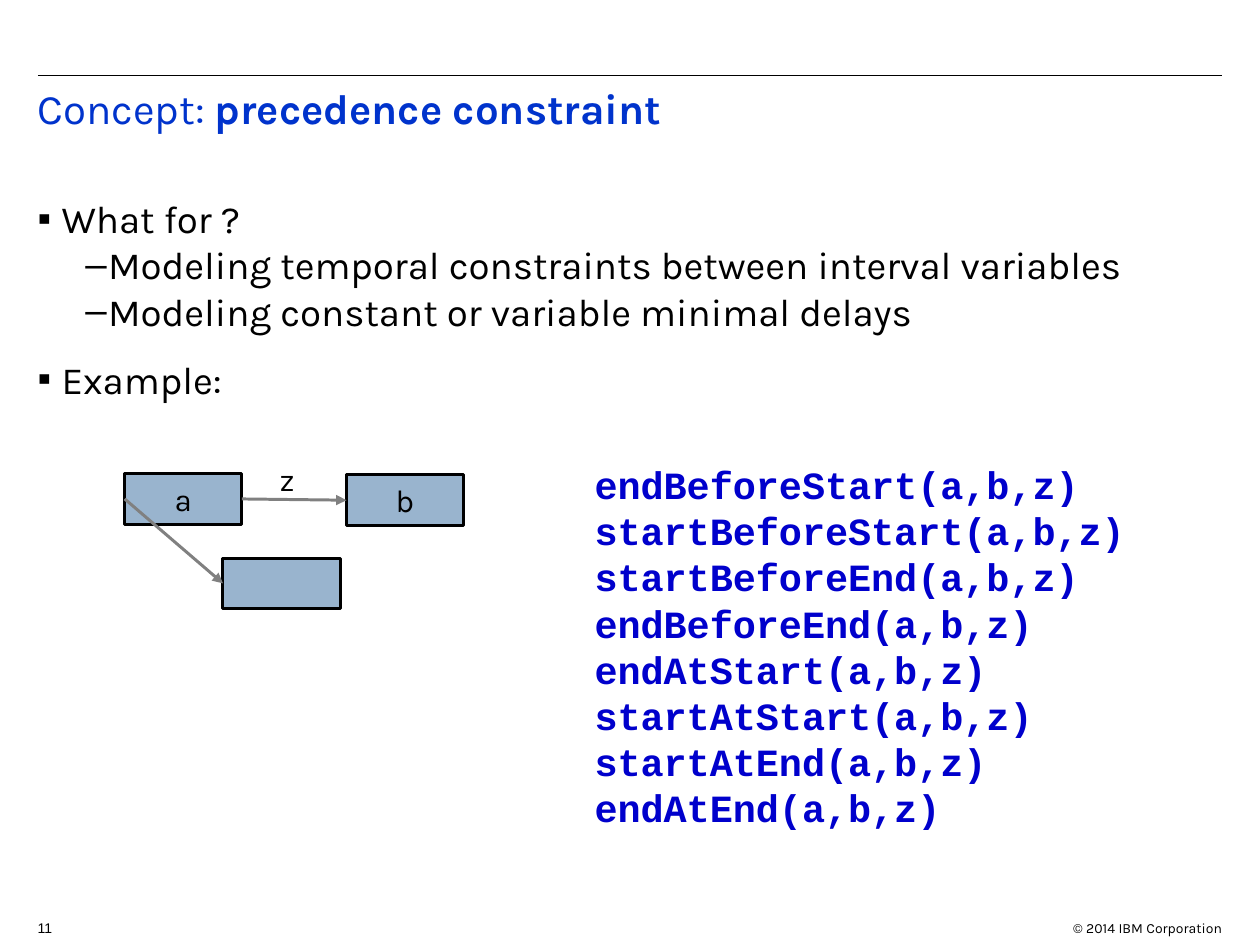
from lxml import etree
from pptx import Presentation
from pptx.dml.color import RGBColor
from pptx.enum.shapes import MSO_CONNECTOR, MSO_SHAPE
from pptx.enum.text import MSO_ANCHOR, PP_ALIGN
from pptx.oxml.ns import qn
from pptx.util import Inches, Pt

RECT, LINE = MSO_SHAPE.RECTANGLE, MSO_CONNECTOR.STRAIGHT
MIDDLE, TOP = MSO_ANCHOR.MIDDLE, MSO_ANCHOR.TOP
LEFT, CENTER, RIGHT = PP_ALIGN.LEFT, PP_ALIGN.CENTER, PP_ALIGN.RIGHT

BLACK = RGBColor(0x00, 0x00, 0x00)
GREY = RGBColor(0x80, 0x80, 0x80)
BLUE = RGBColor(0x00, 0x33, 0xCC)
NAVY = RGBColor(0x00, 0x00, 0xCC)
STEEL = RGBColor(0x00, 0x45, 0x86)
SANS, MONO = "Karla", "Courier New"

# Content
TITLE = [("Concept: ", False), ("precedence constraint", True)]
POINTS = [
    (0, "What for ?"),
    (1, "Modeling temporal constraints between interval variables"),
    (1, "Modeling constant or variable minimal delays"),
    (0, "Example:"),
]
# level: bullet, left margin, hanging indent, space before
LEVELS = [("▪", 0.19, 0.19, 12.5), ("–", 0.56, 0.18, 0)]
CALLS = ["endBeforeStart", "startBeforeStart", "startBeforeEnd", "endBeforeEnd",
         "endAtStart", "startAtStart", "startAtEnd", "endAtEnd"]
TASKS = [("a", 0.99, 3.76), ("b", 2.75, 3.77), ("", 1.77, 4.43)]
TASK_W, TASK_H = 0.93, 0.4
LINKS = [(0, 3, 1, 1), (0, 1, 2, 1)]  # from task, side, to task, side

W, H = 10, 7.5
EDGE = 0.03 * W
PAD = 0.1  # side inset of a text box
FOOT = 7.25

prs = Presentation()
prs.slide_width, prs.slide_height = Inches(W), Inches(H)
slide = prs.slides.add_slide(prs.slide_layouts[6])
shapes = slide.shapes


def add_run(para, text, size, color=BLACK, font=SANS, bold=False):
    run = para.add_run()
    run.text = text
    run.font.size, run.font.name, run.font.bold = Pt(size), font, bold
    run.font.color.rgb = color


def add_box(x, y, w, h, wrap=True):
    box = shapes.add_textbox(*map(Inches, (x, y, w, h)))
    frame = box.text_frame
    frame.word_wrap, frame.vertical_anchor = wrap, TOP
    return frame


def next_para(frame, index):
    return frame.add_paragraph() if index else frame.paragraphs[0]


def set_bullet(para, mark, left, hang):
    props = para._p.get_or_add_pPr()
    props.set("marL", str(Inches(left)))
    props.set("indent", str(-Inches(hang)))
    color = etree.SubElement(props, qn("a:buClr"))
    etree.SubElement(color, qn("a:srgbClr"), val=str(BLACK))
    etree.SubElement(props, qn("a:buFont"), typeface="Arial")
    etree.SubElement(props, qn("a:buChar"), char=mark)


def add_line(start, end, color, width):
    line = shapes.add_connector(LINE, *map(Inches, start + end))
    line.line.color.rgb, line.line.width = color, Pt(width)
    etree.SubElement(line._element.spPr, qn("a:effectLst"))
    return line


# Top rule, footer and title
add_line((EDGE, 0.08 * H), (W - EDGE, 0.08 * H), BLACK, 0.75)
para = add_box(8.3, FOOT, 1.5, 0.2).paragraphs[0]
para.alignment = RIGHT
add_run(para, "© 2014 IBM Corporation", 8)
add_run(add_box(EDGE - PAD, FOOT, 0.4, 0.23).paragraphs[0], "11", 8, font="Arial")

para = add_box(EDGE - PAD, 0.65, 9.8, 0.7).paragraphs[0]
para.line_spacing = 0.9
for text, bold in TITLE:
    add_run(para, text, 24, BLUE, bold=bold)

# Bullet points
frame = add_box(EDGE - PAD, 0.2 * H, 9.3, 5.6)
for i, (level, text) in enumerate(POINTS):
    para = next_para(frame, i)
    mark, left, hang, gap = LEVELS[level]
    para.level = level
    set_bullet(para, mark, left, hang)
    para.space_before = Pt(gap if i else 0)
    add_run(para, text, 22)

# Task boxes
tasks = []
for name, x, y in TASKS:
    task = shapes.add_shape(RECT, *map(Inches, (x, y, TASK_W, TASK_H)))
    task.shadow.inherit = False
    task.fill.solid()
    task.fill.fore_color.rgb = STEEL
    tint = task._element.spPr.find(qn("a:solidFill"))[0]
    etree.SubElement(tint, qn("a:alpha"), val="40000")
    task.line.color.rgb, task.line.width = BLACK, Pt(1.7)
    if name:
        task.text_frame.vertical_anchor = MIDDLE
        para = task.text_frame.paragraphs[0]
        para.alignment = CENTER
        add_run(para, name, 18)
    tasks.append(task)

# Arrows between tasks
for first, out, last, into in LINKS:
    arrow = add_line((0, 0), (1, 1), GREY, 1.7)
    arrow.begin_connect(tasks[first], out)
    arrow.end_connect(tasks[last], into)
    etree.SubElement(arrow.line._get_or_add_ln(), qn("a:tailEnd"), type="triangle")

# Delay label and list of calls
add_run(add_box(2.12, 3.6, 0.32, 0.4, False).paragraphs[0], "z", 18)
frame = add_box(4.62, 3.61, 4.41, 3.4, False)
for i, call in enumerate(CALLS):
    para = next_para(frame, i)
    para.alignment = LEFT
    add_run(para, call + "(a,b,z)", 22, NAVY, MONO, True)

prs.save("out.pptx")
